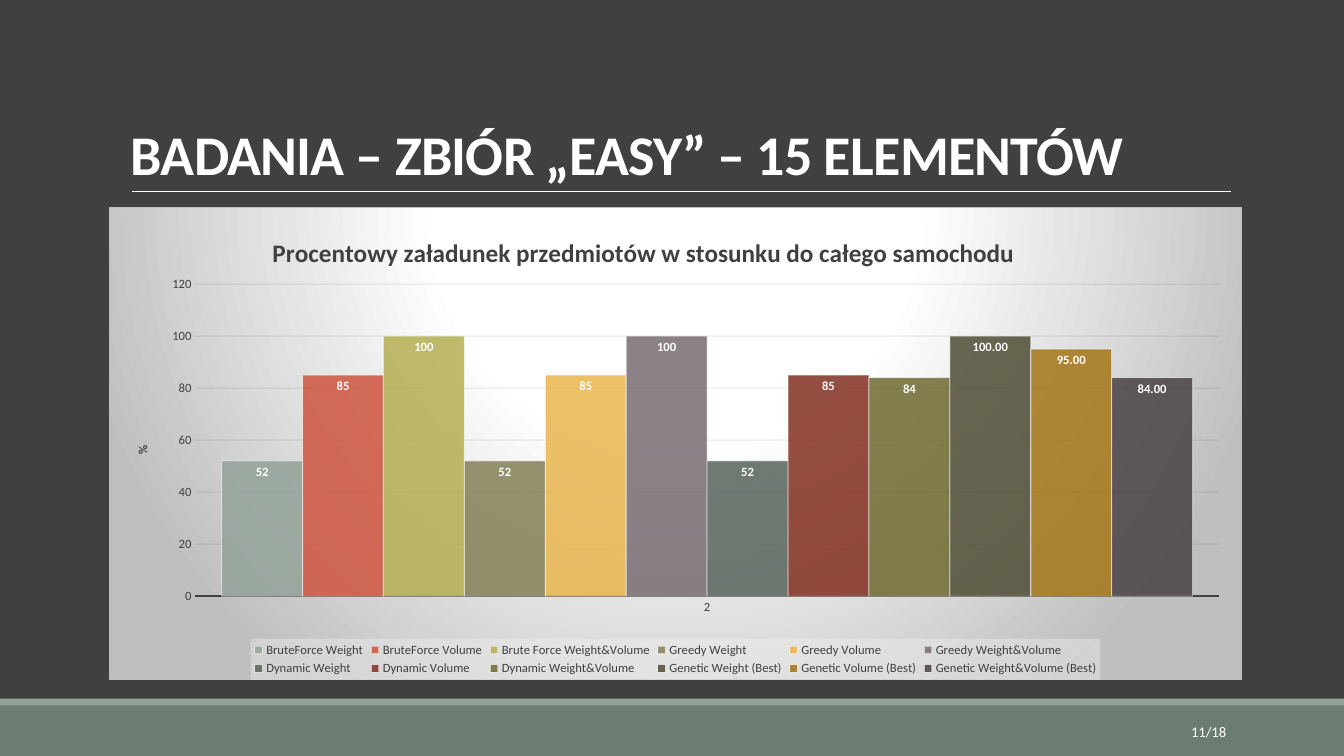
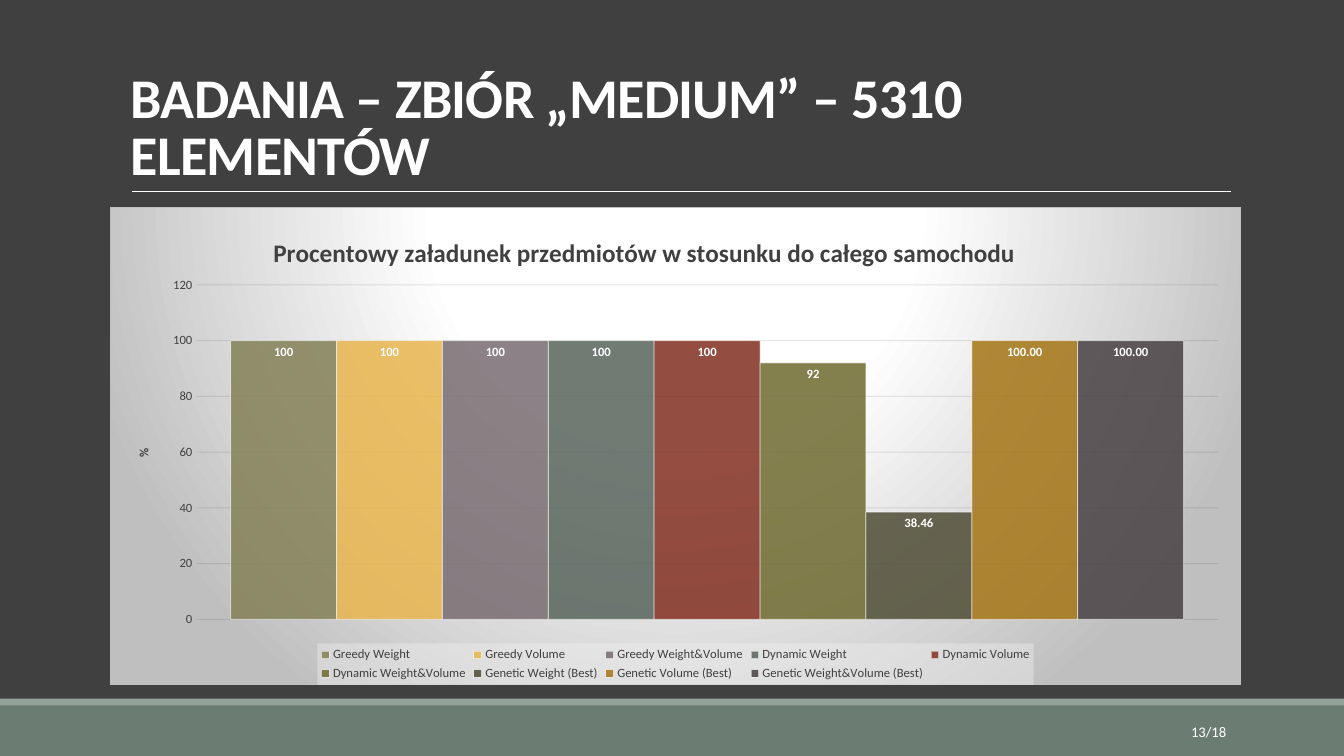
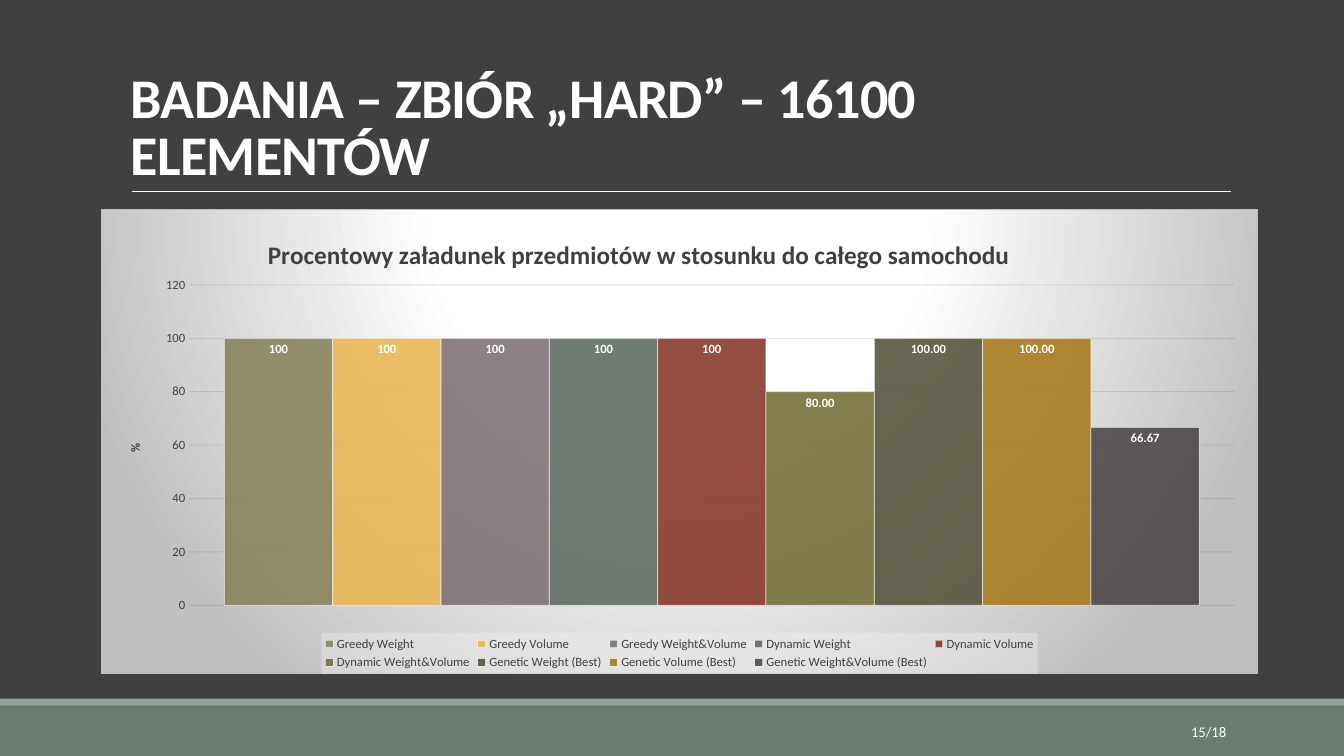
from pptx import Presentation
from pptx.chart.data import CategoryChartData
from pptx.dml.color import RGBColor
from pptx.enum.chart import XL_CHART_TYPE, XL_LABEL_POSITION, XL_LEGEND_POSITION, XL_TICK_MARK
from pptx.enum.shapes import MSO_CONNECTOR, MSO_SHAPE
from pptx.enum.text import MSO_ANCHOR, PP_ALIGN
from pptx.oxml import parse_xml
from pptx.oxml.ns import nsdecls, qn
from pptx.util import Inches, Pt

CLUSTERED = XL_CHART_TYPE.COLUMN_CLUSTERED
INSIDE_END = XL_LABEL_POSITION.INSIDE_END
LEGEND_BOTTOM = XL_LEGEND_POSITION.BOTTOM
NO_TICKS = XL_TICK_MARK.NONE
STRAIGHT = MSO_CONNECTOR.STRAIGHT
RECTANGLE = MSO_SHAPE.RECTANGLE
BOTTOM, MIDDLE = MSO_ANCHOR.BOTTOM, MSO_ANCHOR.MIDDLE
LEFT, RIGHT = PP_ALIGN.LEFT, PP_ALIGN.RIGHT

WIDTH, HEIGHT = Inches(13.333), Inches(7.5)
FONT = "Calibri"
COLORS = {
    "dark": "404040",
    "white": "FFFFFF",
    "band": "6B7D72",
    "stripe": "93A299",
    "edge": "BFBFBF",
    "grid": "0D0D0D",
    "legend": "F2F2F2",
}
SERIES_COLORS = {
    "BruteForce Weight": "93A299",
    "BruteForce Volume": "CF543F",
    "Brute Force Weight&Volume": "B5AE53",
    "Greedy Weight": "848058",
    "Greedy Volume": "E8B54D",
    "Greedy Weight&Volume": "786C71",
    "Dynamic Weight": "56645B",
    "Dynamic Volume": "822F20",
    "Dynamic Weight&Volume": "6F6A30",
    "Genetic Weight (Best)": "4F4D35",
    "Genetic Volume (Best)": "A47515",
    "Genetic Weight&Volume (Best)": "484144",
}
CHART_TITLE = "Procentowy załadunek przedmiotów w stosunku do całego samochodu"

# Values belong to the last series of SERIES_COLORS; "decimals" counts the
# closing series whose labels have two decimals; places are in grid units.
STUDIES = [
    {"title": "BADANIA – ZBIÓR „EASY” – 15 ELEMENTÓW", "page": "11/18",
     "place": (8.1, 27.33, 84.32, 62.67), "plot_height": 0.66,
     "category": "2", "show_category": True, "decimals": 3,
     "values": [52, 85, 100, 52, 85, 100, 52, 85, 84, 100, 95, 84]},
    {"title": "BADANIA – ZBIÓR „MEDIUM” – 5310 ELEMENTÓW", "page": "13/18",
     "place": (8.18, 27.33, 84.17, 63.33), "plot_height": 0.7,
     "category": "1", "show_category": False, "decimals": 3,
     "values": [100, 100, 100, 100, 100, 92, 38.46, 100, 100]},
    {"title": "BADANIA – ZBIÓR „HARD” – 16100 ELEMENTÓW", "page": "15/18",
     "place": (7.5, 27.6, 86.12, 61.6), "plot_height": 0.69,
     "category": "1", "show_category": False, "decimals": 4,
     "values": [100, 100, 100, 100, 100, 80, 100, 100, 66.67]},
]


# Grid of 100 columns and 100 rows
def col(n):
    return int(WIDTH * n / 100)


def row(n):
    return int(HEIGHT * n / 100)


def box(left, top, width, height):
    return col(left), row(top), col(width), row(height)


# Styling helpers
def rgb(name):
    return RGBColor.from_string(COLORS.get(name, name))


def style_font(font, size, color, bold=False):
    font.name, font.size, font.bold = FONT, Pt(size), bold
    font.color.rgb = rgb(color)


def style_line(line, color, width):
    line.color.rgb = rgb(color)
    line.width = Pt(width)


def set_alpha(properties, percent, parent=""):
    color = properties.find(f"{parent}{qn('a:solidFill')}/{qn('a:srgbClr')}")
    color.append(parse_xml(f'<a:alpha {nsdecls("a")} val="{percent * 1000}"/>'))


def set_layout(element, index, target="", **shares):
    for old in element.findall(qn("c:layout")):
        element.remove(old)
    modes = "".join(f'<c:{key}Mode val="edge"/>' for key in "xy")
    sizes = "".join(f'<c:{key} val="{value}"/>' for key, value in shares.items())
    element.insert(index, parse_xml(
        f'<c:layout {nsdecls("c")}><c:manualLayout>{target}{modes}{sizes}'
        '</c:manualLayout></c:layout>'))


# Slide parts
def add_text(slide, place, text, size, anchor, align, bold=False):
    frame = slide.shapes.add_textbox(*box(*place)).text_frame
    frame.word_wrap = True
    frame.vertical_anchor = anchor
    paragraph = frame.paragraphs[0]
    paragraph.alignment = align
    run = paragraph.add_run()
    run.text = text
    style_font(run.font, size, "white", bold)
    return paragraph


def add_band(slide, top, height, color):
    band = slide.shapes.add_shape(RECTANGLE, *box(0, top, 100, height))
    band.shadow.inherit = False
    band.fill.solid()
    band.fill.fore_color.rgb = rgb(color)
    band.line.fill.background()


def add_frame(slide, title, page):
    slide.background.fill.solid()
    slide.background.fill.fore_color.rgb = rgb("dark")
    add_band(slide, 93.33, 6.67, "band")
    add_band(slide, 92.4, 0.93, "stripe")
    rule = slide.shapes.add_connector(STRAIGHT, col(9.83), row(25.33), col(91.6), row(25.33))
    style_line(rule.line, "white", 0.5)
    rule.element.spPr.append(parse_xml(f'<a:effectLst {nsdecls("a")}/>'))
    heading = add_text(slide, (9, 4.13, 82.5, 21.2), title, 40, BOTTOM, LEFT, True)
    heading.line_spacing = 0.85
    heading.runs[0].font._element.set("spc", "-50")
    add_text(slide, (81.25, 94.13, 10.73, 5.33), page, 10.5, MIDDLE, RIGHT)


# Chart parts
def add_chart_title(owner, text, size, x, y):
    frame = owner.text_frame
    run = frame.paragraphs[0].add_run()
    run.text = text
    style_font(run.font, size, "dark", True)
    set_layout(owner._element, 1, x=x, y=y)
    return frame


def paint_chart_area(chart):
    stops = "".join(
        f'<a:gs pos="{position * 1000}"><a:srgbClr val="{COLORS[color]}"/></a:gs>'
        for position, color in ((0, "white"), (39, "white"), (100, "edge")))
    chart.element.find(qn("c:chart")).addnext(parse_xml(
        f'<c:spPr {nsdecls("c", "a")}><a:gradFill><a:gsLst>{stops}</a:gsLst>'
        '<a:path path="circle">'
        '<a:fillToRect l="50000" t="-80000" r="50000" b="180000"/></a:path></a:gradFill>'
        f'<a:ln w="{Pt(0.75)}"><a:solidFill><a:srgbClr val="{COLORS["edge"]}"/>'
        '</a:solidFill></a:ln></c:spPr>'))


def style_axes(chart, show_category):
    values, categories = chart.value_axis, chart.category_axis
    values.minimum_scale, values.maximum_scale, values.major_unit = 0, 120, 20
    values.format.line.fill.background()
    values.major_gridlines.format.line.width = Pt(0.75)
    values.major_gridlines.format.line.color.rgb = rgb("grid")
    set_alpha(chart.element.find(f".//{qn('c:majorGridlines')}/{qn('c:spPr')}"), 10,
              f"{qn('a:ln')}/")
    unit = add_chart_title(values.axis_title, "%", 9, 0.02, 0.5)
    unit._txBody.bodyPr.set("rot", "-5400000")
    unit._txBody.bodyPr.set("vert", "horz")
    categories.visible = show_category
    style_line(categories.format.line, "dark", 1.5)
    for axis in (values, categories):
        axis.major_tick_mark = axis.minor_tick_mark = NO_TICKS
        style_font(axis.tick_labels.font, 9, "dark")


def style_legend(chart):
    chart.has_legend = True
    chart.legend.position = LEGEND_BOTTOM
    chart.legend.include_in_layout = False
    style_font(chart.legend.font, 9, "dark")
    overlay = chart.element.find(f".//{qn('c:legend')}/{qn('c:overlay')}")
    overlay.addnext(parse_xml(
        f'<c:spPr {nsdecls("c", "a")}><a:solidFill><a:srgbClr val="{COLORS["legend"]}">'
        '<a:alpha val="39000"/></a:srgbClr></a:solidFill></c:spPr>'))


def style_series(series, two_decimals):
    series.invert_if_negative = False
    series.format.fill.solid()
    series.format.fill.fore_color.rgb = rgb(SERIES_COLORS[series.name])
    style_line(series.format.line, "white", 0.75)
    properties = series._element.find(qn("c:spPr"))
    set_alpha(properties, 85)
    set_alpha(properties, 50, f"{qn('a:ln')}/")
    labels = series.data_labels
    labels.show_value = True
    labels.position = INSIDE_END
    style_font(labels.font, 9, "white", True)
    if two_decimals:
        labels.number_format = "0.00"
        labels.number_format_is_linked = False


def add_load_chart(slide, study):
    values = study["values"]
    data = CategoryChartData()
    data.categories = [study["category"]]
    for name, value in zip(list(SERIES_COLORS)[-len(values):], values):
        data.add_series(name, [value])
    chart = slide.shapes.add_chart(CLUSTERED, *box(*study["place"]), data).chart
    style_font(chart.font, 10, "white")
    paint_chart_area(chart)
    chart.has_title = True
    add_chart_title(chart.chart_title, CHART_TITLE, 18, 0.14, 0.05)
    set_layout(chart.element.find(f".//{qn('c:plotArea')}"), 0,
               '<c:layoutTarget val="inner"/>',
               x=0.076, y=0.163, w=0.904, h=study["plot_height"])
    style_axes(chart, study["show_category"])
    style_legend(chart)
    plot = chart.plots[0]
    plot.vary_by_categories = False
    plot.gap_width, plot.overlap = 65, 0
    first_decimal = len(values) - study["decimals"]
    for index, series in enumerate(plot.series):
        style_series(series, index >= first_decimal)


def main():
    deck = Presentation()
    deck.slide_width, deck.slide_height = WIDTH, HEIGHT
    for study in STUDIES:
        slide = deck.slides.add_slide(deck.slide_layouts[6])
        add_frame(slide, study["title"], study["page"])
        add_load_chart(slide, study)
    deck.save("out.pptx")


if __name__ == "__main__":
    main()
